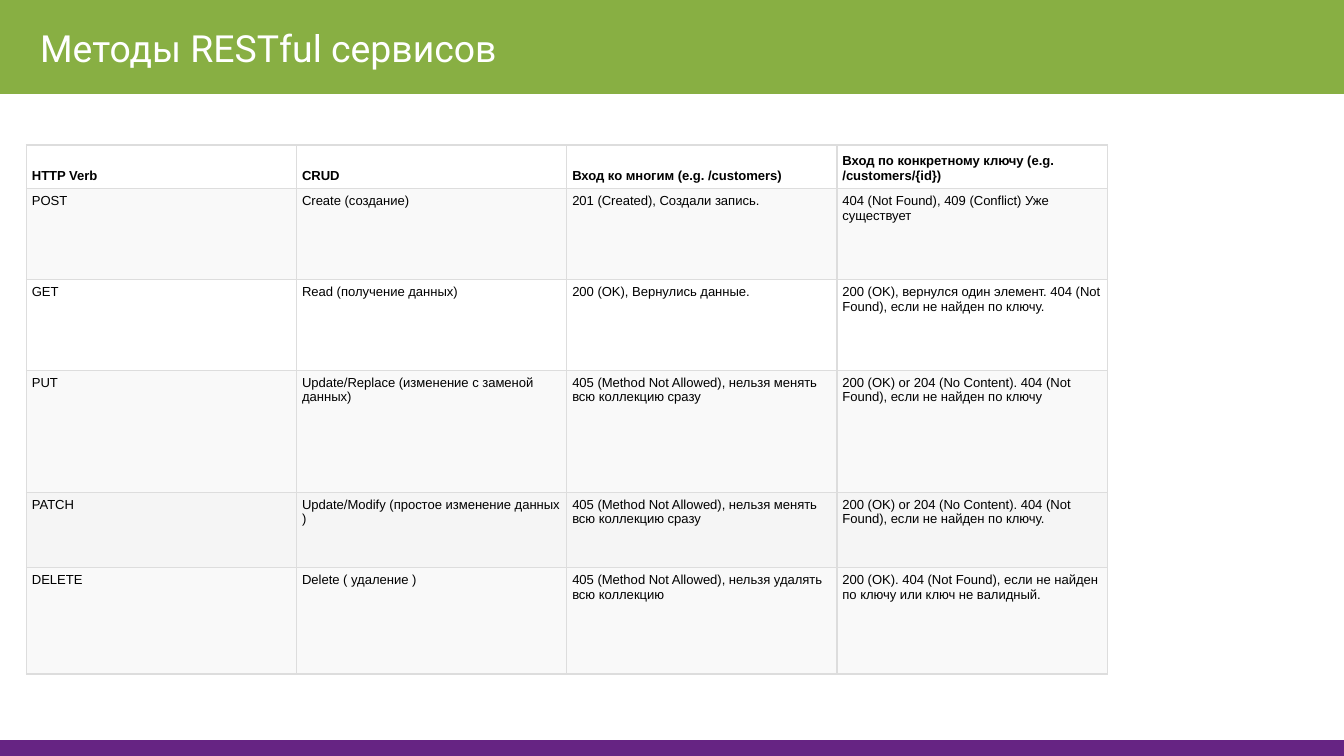
from lxml import etree
from pptx import Presentation
from pptx.dml.color import RGBColor
from pptx.enum.shapes import MSO_SHAPE
from pptx.enum.text import MSO_ANCHOR
from pptx.oxml.ns import qn
from pptx.util import Pt

RECT = MSO_SHAPE.RECTANGLE
TOP, MIDDLE, BOTTOM = MSO_ANCHOR.TOP, MSO_ANCHOR.MIDDLE, MSO_ANCHOR.BOTTOM

WHITE = RGBColor(0xFF, 0xFF, 0xFF)
BLACK = RGBColor(0x00, 0x00, 0x00)
GREEN = RGBColor(0x88, 0xAF, 0x43)
PURPLE = RGBColor(0x66, 0x24, 0x83)
PALE = RGBColor(0xF9, 0xF9, 0xF9)
GREY = RGBColor(0xF5, 0xF5, 0xF5)
RULE = RGBColor(0xDD, 0xDD, 0xDD)

WIDTH, HEIGHT = 720, 405

# Each row: height, fill, cell texts
ROWS = [
    (23.2, WHITE, ["HTTP Verb", "CRUD", "Вход ко многим (e.g. /customers)",
                   "Вход по конкретному ключу (e.g. /customers/{id})"]),
    (48.7, PALE, ["POST", "Create (создание)", "201 (Created), Создали запись.",
                  "404 (Not Found), 409 (Conflict) Уже существует"]),
    (48.7, WHITE, ["GET", "Read (получение данных)", "200 (OK), Вернулись данные.",
                   "200 (OK), вернулся один элемент. 404 (Not Found), "
                   "если не найден по ключу."]),
    (65.4, PALE, ["PUT", "Update/Replace (изменение с заменой данных)",
                  "405 (Method Not Allowed), нельзя менять всю коллекцию сразу",
                  "200 (OK) or 204 (No Content). 404 (Not Found), "
                  "если не найден по ключу"]),
    (40.4, GREY, ["PATCH", "Update/Modify (простое изменение данных )",
                  "405 (Method Not Allowed), нельзя менять всю коллекцию сразу",
                  "200 (OK) or 204 (No Content). 404 (Not Found), "
                  "если не найден по ключу."]),
    (57, PALE, ["DELETE", "Delete ( удаление )",
                "405 (Method Not Allowed), нельзя удалять всю коллекцию",
                "200 (OK). 404 (Not Found), если не найден по ключу "
                "или ключ не валидный."]),
]


class Page:
    head, body = "Roboto", "Arial"
    pad, inset, edge = 7.2, 2.9, 0.75

    def __init__(self, slide):
        self.slide = slide

    def label(self, frame, text, face, size, color, bold=False):
        frame.text = text
        frame.word_wrap = True
        font = frame.paragraphs[0].runs[0].font
        font.name, font.size, font.bold = face, Pt(size), bold
        font.color.rgb = color

    def bar(self, top, height, color):
        shape = self.slide.shapes.add_shape(RECT, 0, Pt(top), Pt(WIDTH), Pt(height))
        shape.shadow.inherit = False
        shape.fill.solid()
        shape.fill.fore_color.rgb = color
        shape.line.color.rgb = color
        shape.line.width = Pt(self.edge)

    def title(self, text, left, top, width, height):
        box = self.slide.shapes.add_textbox(Pt(left), Pt(top), Pt(width), Pt(height))
        frame = box.text_frame
        frame.margin_left = frame.margin_right = Pt(self.pad)
        frame.margin_top = frame.margin_bottom = Pt(self.pad)
        frame.vertical_anchor = MIDDLE
        self.label(frame, text, self.head, 20, WHITE)

    def border(self, cell):
        """Rule all four sides; the lines must precede the fill in tcPr."""
        props = cell._tc.get_or_add_tcPr()
        for i, side in enumerate(("a:lnL", "a:lnR", "a:lnT", "a:lnB")):
            line = etree.Element(qn(side), w=str(Pt(self.edge)))
            fill = etree.SubElement(line, qn("a:solidFill"))
            etree.SubElement(fill, qn("a:srgbClr"), val=str(RULE))
            props.insert(i, line)

    def cell(self, cell, text, fill, head):
        cell.margin_left = cell.margin_right = Pt(self.inset)
        cell.margin_top = cell.margin_bottom = Pt(self.inset)
        cell.vertical_anchor = BOTTOM if head else TOP
        cell.fill.solid()
        cell.fill.fore_color.rgb = fill
        self.border(cell)
        self.label(cell.text_frame, text, self.body, 7, BLACK, head)

    def table(self, rows, left, top, width):
        count = len(rows[0][2])
        total = sum(row[0] for row in rows)
        table = self.slide.shapes.add_table(
            len(rows), count, Pt(left), Pt(top), Pt(width), Pt(total)).table
        for col in table.columns:
            col.width = Pt(width / count)
        for r, (height, fill, texts) in enumerate(rows):
            table.rows[r].height = Pt(height)
            for c, text in enumerate(texts):
                self.cell(table.cell(r, c), text, fill, r == 0)


def main():
    deck = Presentation()
    deck.slide_width, deck.slide_height = Pt(WIDTH), Pt(HEIGHT)
    page = Page(deck.slides.add_slide(deck.slide_layouts[6]))
    page.bar(396.7, 8.3, PURPLE)
    page.bar(0, 50, GREEN)
    page.title("Методы RESTful сервисов", 14.4, 5.8, 455.8, 38.9)
    page.table(ROWS, 14.2, 77.7, 579)
    deck.save("out.pptx")


if __name__ == "__main__":
    main()
